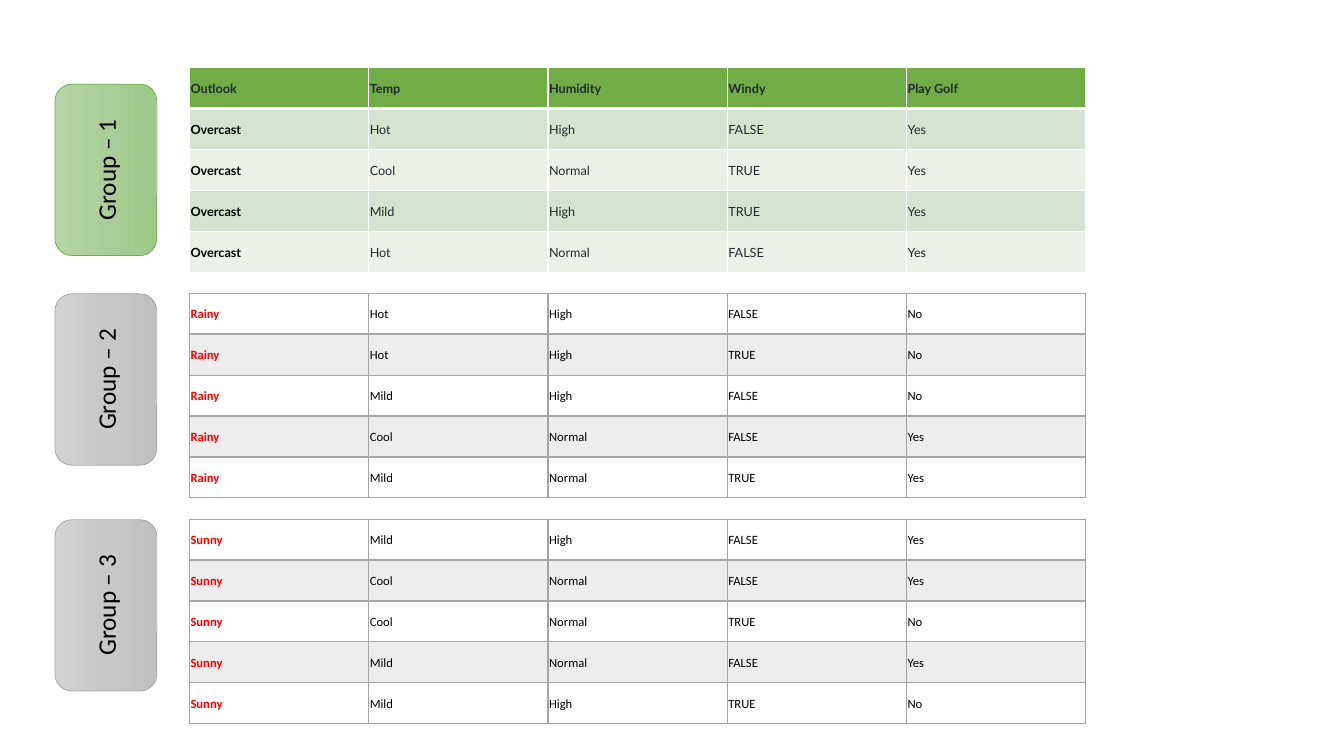
import copy
import lxml.etree
import pptx
import pptx.dml.color
import pptx.enum.shapes
import pptx.enum.text
import pptx.oxml.ns
import pptx.util

RGB = pptx.dml.color.RGBColor
Inches = pptx.util.Inches
Pt = pptx.util.Pt
qn = pptx.oxml.ns.qn

BLACK = RGB(0x00, 0x00, 0x00)
WHITE = RGB(0xFF, 0xFF, 0xFF)
INK = RGB(0x24, 0x29, 0x2E)
RED = RGB(0xFF, 0x00, 0x00)
GREEN = RGB(0x70, 0xAD, 0x47)
GREEN_BAND = RGB(0xD5, 0xE3, 0xCF)
GREEN_PALE = RGB(0xEB, 0xF1, 0xE9)
GRAY = RGB(0xA5, 0xA5, 0xA5)
GREEN_FADE = [RGB(0xB5, 0xD5, 0xA7), RGB(0xAA, 0xCE, 0x9A), RGB(0x9C, 0xC9, 0x87)]
GRAY_FADE = [RGB(0xD2, 0xD2, 0xD2), RGB(0xC8, 0xC8, 0xC8), RGB(0xC0, 0xC0, 0xC0)]

GREEN_THEME = dict(header=True, font="Lato", accent=GREEN, fade=GREEN_FADE,
                   key=BLACK, text=INK, border=WHITE, rule=3,
                   bands=[(GREEN_PALE, 100), (GREEN_BAND, 100)])
GRAY_THEME = dict(header=False, font="Calibri", accent=GRAY, fade=GRAY_FADE,
                  key=RED, text=BLACK, border=GRAY, rule=2,
                  bands=[(None, 0), (GRAY, 20)])

TABLE_LEFT, TABLE_TOP, TABLE_W, TABLE_H = 1.88, 0.67, 8.89, 2.03
PITCH = 2.24
LABEL_LEFT, LABEL_W, LABEL_H = 0.2, 1.7, 1.01

GROUPS = [
    ("Group – 1", GREEN_THEME, 0.51, [
        "Outlook|Temp|Humidity|Windy|Play Golf",
        "Overcast|Hot|High|FALSE|Yes",
        "Overcast|Cool|Normal|TRUE|Yes",
        "Overcast|Mild|High|TRUE|Yes",
        "Overcast|Hot|Normal|FALSE|Yes"]),
    ("Group – 2", GRAY_THEME, 0.35, [
        "Rainy|Hot|High|FALSE|No",
        "Rainy|Hot|High|TRUE|No",
        "Rainy|Mild|High|FALSE|No",
        "Rainy|Cool|Normal|FALSE|Yes",
        "Rainy|Mild|Normal|TRUE|Yes"]),
    ("Group – 3", GRAY_THEME, 0.35, [
        "Sunny|Mild|High|FALSE|Yes",
        "Sunny|Cool|Normal|FALSE|Yes",
        "Sunny|Cool|Normal|TRUE|No",
        "Sunny|Mild|Normal|FALSE|Yes",
        "Sunny|Mild|High|TRUE|No"]),
]


def add_run(p, text, font, size, color, bold=False):
    """Add one formatted run to a paragraph."""
    r = p.add_run()
    r.text = text
    r.font.name, r.font.size, r.font.bold = font, Pt(size), bold
    r.font.color.rgb = color


def fill_cell(cell, color, opacity):
    """Fill a cell with a colour at an opacity in percent, or leave it clear."""
    if color is None:
        cell.fill.background()
        return
    cell.fill.solid()
    cell.fill.fore_color.rgb = color
    if opacity < 100:
        clr = cell._tc.tcPr.find(".//" + qn("a:srgbClr"))
        lxml.etree.SubElement(clr, qn("a:alpha"), val=str(opacity * 1000))


def border_cell(cell, color, top, bottom):
    """Draw the four borders of a cell, with 1 pt sides."""
    widths = [("L", 1), ("R", 1), ("T", top), ("B", bottom)]
    for i, (side, width) in enumerate(widths):
        ln = lxml.etree.Element(qn("a:ln" + side), w=str(Pt(width)))
        fill = lxml.etree.SubElement(ln, qn("a:solidFill"))
        lxml.etree.SubElement(fill, qn("a:srgbClr"), val=str(color))
        cell._tc.tcPr.insert(i, ln)


def add_group_table(s, rows, theme, x, y, w, h):
    """Place the table of one group in its box."""
    grid = [row.split("|") for row in rows]
    n_rows, n_cols = len(grid), len(grid[0])
    table = s.shapes.add_table(n_rows, n_cols, Inches(x), Inches(y),
                               Inches(w), Inches(h)).table
    table.first_row, table.horz_banding = theme["header"], False
    for i, values in enumerate(grid):
        is_header = theme["header"] and i == 0
        color, opacity = (theme["accent"], 100) if is_header else theme["bands"][i % 2]
        for j, value in enumerate(values):
            cell = table.cell(i, j)
            cell.vertical_anchor = pptx.enum.text.MSO_ANCHOR.MIDDLE
            cell.margin_left = cell.margin_right = cell.margin_top = Inches(0.01)
            cell.margin_bottom = 0
            is_key = j == 0 and not is_header
            add_run(cell.text_frame.paragraphs[0], value, theme["font"], 9,
                    theme["key"] if is_key else theme["text"], is_key or is_header)
            fill_cell(cell, color, opacity)
            border_cell(cell, theme["border"], theme["rule"] if i == 1 else 1,
                        theme["rule"] if i == 0 else 1)


def add_group_label(s, text, theme, x, y, w, h):
    """Place the upright gradient label of one group."""
    sp = s.shapes.add_shape(pptx.enum.shapes.MSO_SHAPE.ROUNDED_RECTANGLE,
                            Inches(x), Inches(y), Inches(w), Inches(h))
    sp.rotation = 270
    sp.shadow.inherit = False
    sp.fill.gradient()
    sp.fill.gradient_angle = 270
    gs_list = sp._element.spPr.find(".//" + qn("a:gsLst"))
    gs_list.insert(1, copy.deepcopy(gs_list[0]))
    for stop, color, position in zip(sp.fill.gradient_stops, theme["fade"], (0, 0.5, 1)):
        stop.color.rgb = color
        stop.position = position
    sp.line.color.rgb = theme["accent"]
    sp.line.width = Pt(0.5)
    tf = sp.text_frame
    tf.vertical_anchor = pptx.enum.text.MSO_ANCHOR.MIDDLE
    p = tf.paragraphs[0]
    p.alignment = pptx.enum.text.PP_ALIGN.CENTER
    add_run(p, text, "Calibri", 18, BLACK)


def main():
    """Build the slide of three groups and save it."""
    prs = pptx.Presentation()
    prs.slide_width, prs.slide_height = Inches(13.33), Inches(7.5)
    s = prs.slides.add_slide(prs.slide_layouts[6])
    for i, (label, theme, drop, rows) in enumerate(GROUPS):
        top = TABLE_TOP + i * PITCH
        add_group_table(s, rows, theme, TABLE_LEFT, top, TABLE_W, TABLE_H)
        add_group_label(s, label, theme, LABEL_LEFT, top + drop, LABEL_W, LABEL_H)
    prs.save("out.pptx")


if __name__ == "__main__":
    main()
